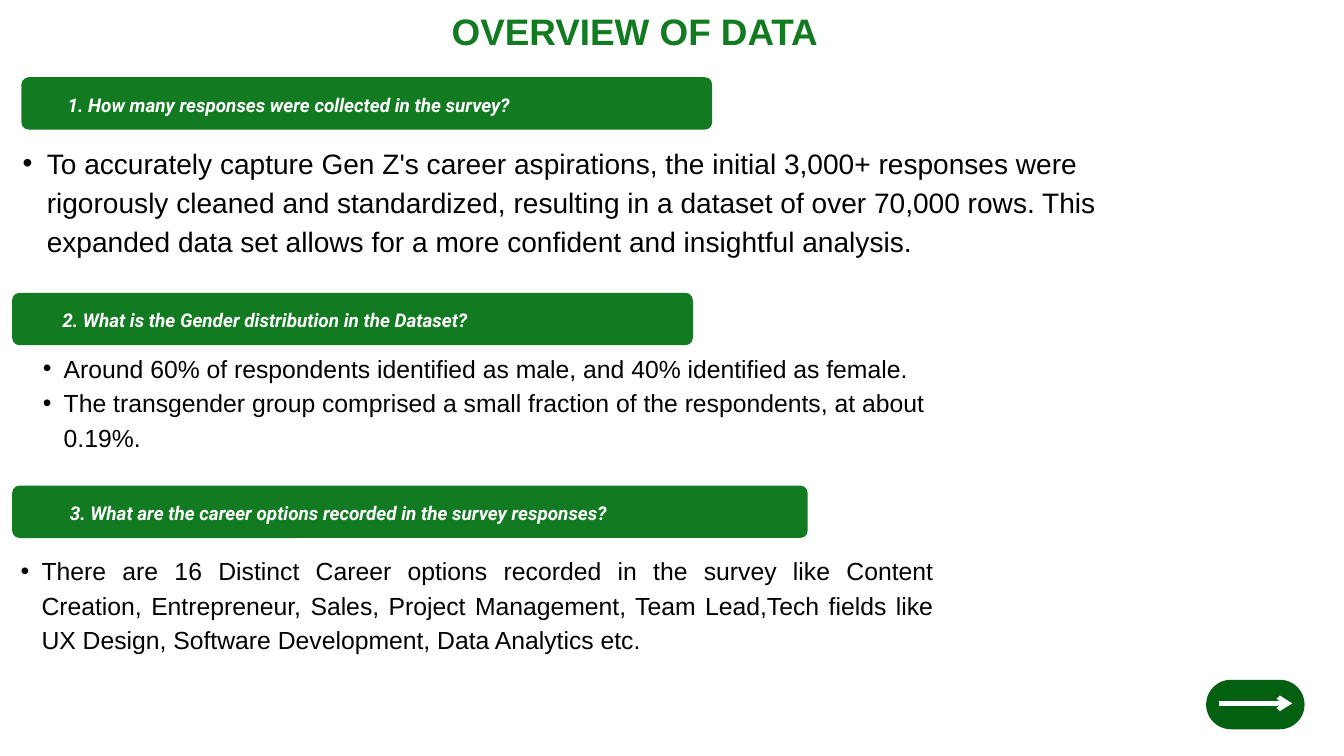
from lxml.etree import SubElement as Sub
from pptx import Presentation
from pptx.dml.color import RGBColor
from pptx.enum.shapes import MSO_CONNECTOR as Link, MSO_SHAPE as Kind
from pptx.enum.text import MSO_AUTO_SIZE as Fit, PP_ALIGN as Align
from pptx.oxml.ns import qn
from pptx.util import Cm, Pt

GREEN, DARK, WHITE, BLACK = "127B22", "036011", "FFFFFF", "000000"


def paint(color, code):
    color.rgb = RGBColor.from_string(code)


def add_bar(slide, box, code, round_by):
    bar = slide.shapes.add_shape(Kind.ROUNDED_RECTANGLE, *map(Cm, box))
    bar.adjustments[0] = round_by
    bar.shadow.inherit = False
    bar.fill.solid()
    paint(bar.fill.fore_color, code)
    bar.line.fill.background()


def indent(para, left, hang=0):
    props = para._p.get_or_add_pPr()
    props.set("marL", str(Cm(left)))
    props.set("indent", str(-Cm(hang)))
    if hang:
        Sub(props, qn("a:buFont")).set("typeface", "Arial")
        Sub(props, qn("a:buChar")).set("char", "•")


def add_text(slide, box, lines, size, space, code, align=Align.LEFT,
             left=0, hang=0, face="Arial", bold=False, slant=False):
    frame = slide.shapes.add_textbox(*map(Cm, box)).text_frame
    frame.margin_left = frame.margin_right = 0
    frame.margin_top = frame.margin_bottom = 0
    frame.word_wrap = True
    frame.auto_size = Fit.SHAPE_TO_FIT_TEXT
    frame.text = "\n".join(lines)
    for para in frame.paragraphs:
        indent(para, left, hang)
        para.alignment = align
        para.line_spacing = Pt(space)
        para.level = 1 if hang else 0
        for run in para.runs:
            font = run.font
            font.name, font.size = face, Pt(size)
            font.bold, font.italic = bold, slant
            paint(font.color, code)


def add_head(slide, text, x, y, width, text_x, left):
    add_bar(slide, (x, y, width, 1.98), GREEN, 0.14)
    add_text(slide, (text_x, y + 0.46, width + 1.9, 0.99), [text], 20.3, 28.5,
             WHITE, Align.JUSTIFY, left, face="Roboto", bold=True, slant=True)


def add_arrow(slide, x, y, end):
    arrow = slide.shapes.add_connector(Link.STRAIGHT, Cm(x), Cm(y), Cm(end), Cm(y))
    arrow.line.width = Pt(4.78)
    paint(arrow.line.color, WHITE)
    Sub(arrow.line._get_or_add_ln(), qn("a:tailEnd")).set("type", "arrow")
    Sub(arrow._element.spPr, qn("a:effectLst"))


def main():
    deck = Presentation()
    deck.slide_width, deck.slide_height = Cm(50.8), Cm(28.58)
    slide = deck.slides.add_slide(deck.slide_layouts[6])

    heads = [
        ("1. How many responses were collected in the survey?",
         0.81, 2.92, 26.11, 1.47, 1.09),
        ("2. What is the Gender distribution in the Dataset?",
         0.46, 11.07, 25.73, 1.09, 1.27),
        ("3. What are the career options recorded in the survey responses?",
         0.46, 18.36, 30.07, 1.22, 1.42),
    ]
    for head in heads:
        add_head(slide, *head)

    add_bar(slide, (45.59, 25.7, 3.72, 1.87), DARK, 0.5)
    add_arrow(slide, 46.08, 26.59, 48.84)

    add_text(slide, (10.69, 0.05, 26.62, 2.11), ["OVERVIEW OF DATA"],
             39.5, 55.2, GREEN, Align.CENTER, bold=True)
    add_text(slide, (-0.03, 5.31, 42.47, 6.07), [
        "To accurately capture Gen Z's career aspirations, the initial 3,000+ "
        "responses were rigorously cleaned and standardized, resulting in a "
        "dataset of over 70,000 rows. This expanded data set allows for a more "
        "confident and insightful analysis."],
        30.1, 42.1, BLACK, left=1.8, hang=0.91)
    add_text(slide, (0.81, 13.18, 35.38, 3.99), [
        "Around 60% of respondents identified as male, and 40% identified as female.",
        "The transgender group comprised a small fraction of the respondents, "
        "at about 0.19%."],
        26.5, 37.1, BLACK, left=1.6, hang=0.79)
    add_text(slide, (-0.03, 20.83, 35.33, 3.99), [
        "There are 16 Distinct Career options recorded in the survey like Content "
        "Creation, Entrepreneur, Sales, Project Management, Team Lead,Tech fields "
        "like UX Design, Software Development, Data Analytics etc."],
        26.5, 37.1, BLACK, Align.JUSTIFY, left=1.6, hang=0.79)

    deck.save("out.pptx")


if __name__ == "__main__":
    main()
